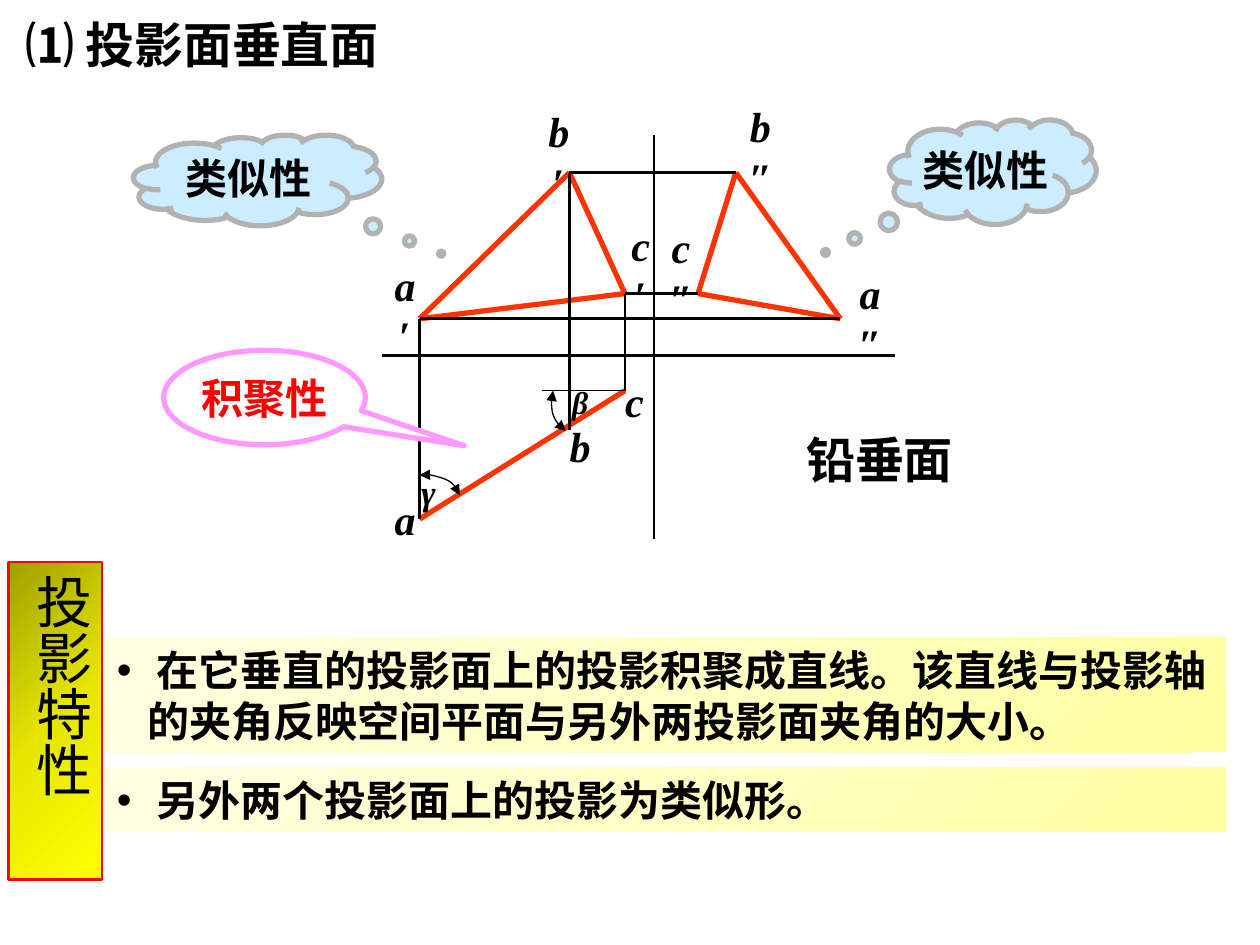
from copy import deepcopy
from lxml.etree import SubElement as Sub
from pptx import Presentation
from pptx.dml.color import RGBColor as RGB
from pptx.enum.shapes import MSO_CONNECTOR as Conn, MSO_SHAPE as Kind
from pptx.enum.text import MSO_ANCHOR as Anchor, MSO_AUTO_SIZE as Auto, PP_ALIGN as Align
from pptx.oxml.ns import qn
from pptx.util import Inches, Pt

COLS, ROWS = 100, 75
SERIF, SANS = "Times New Roman", "Noto Sans CJK SC"
BLACK, RED, EDGE = "000000", "FF0000", "FF3300"


def hue(code):
    return RGB.from_string(code)


def curve(start, *parts):
    pts = [start]
    for part in parts:
        knots = (pts[-1], *part)
        for step in range(1, 7):
            t = step / 6
            mix = ((1 - t) ** 3, 3 * t * (1 - t) ** 2, 3 * t * t * (1 - t), t ** 3)
            pts.append(tuple(sum(m * k[i] for m, k in zip(mix, knots)) for i in (0, 1)))
    return pts


class Board:
    def __init__(self, deck):
        self.wide, self.high = deck.slide_width, deck.slide_height
        self.slide = deck.slides.add_slide(deck.slide_layouts[5])
        self.shapes = self.slide.shapes

    def spot(self, x, y):
        return round(self.wide * x / COLS), round(self.high * y / ROWS)

    def area(self, x, y, w, h):
        return *self.spot(x, y), *self.spot(w, h)

    def fit(self, shape, text, size, font=SERIF, color=BLACK, bold=True,
            align=Align.CENTER, anchor=Anchor.MIDDLE, wrap=False):
        frame = shape.text_frame
        frame.text = text
        frame.word_wrap = wrap
        frame.auto_size = Auto.NONE
        frame.vertical_anchor = anchor
        para = frame.paragraphs[0]
        para.alignment = align
        for run in para.runs:
            self.style(run, size, font, color, bold)
        return para

    def style(self, run, size, font, color, bold):
        run.font.size, run.font.name, run.font.bold = Pt(size), font, bold
        run.font.color.rgb = hue(color)
        Sub(run._r.get_or_add_rPr(), qn("a:ea")).set("typeface", SANS)

    def title(self, text, box):
        head = self.shapes.title
        head.left, head.top, head.width, head.height = self.area(*box)
        self.fit(head, text, 28, SANS, align=Align.LEFT, wrap=True)

    def text(self, text, box, size):
        self.fit(self.shapes.add_textbox(*self.area(*box)), text, size)

    def label(self, name, box, mark="", size=24):
        shape = self.shapes.add_textbox(*self.area(*box))
        para = self.fit(shape, name, size, wrap=bool(mark))
        para.runs[0].font.italic = True
        if mark:
            frame = shape.text_frame
            frame.margin_left = frame.margin_right = Inches(0.12)
            run = para.add_run()
            run.text = mark
            self.style(run, size, SERIF, BLACK, True)

    def line(self, start, end, color=BLACK, width=1.5):
        link = self.shapes.add_connector(Conn.STRAIGHT, *self.spot(*start), *self.spot(*end))
        link.line.color.rgb, link.line.width = hue(color), Pt(width)
        Sub(link._element.spPr, qn("a:effectLst"))

    def arc(self, pts):
        first, *rest = [self.spot(*p) for p in pts]
        pen = self.shapes.build_freeform(*first)
        pen.add_line_segments(rest, close=False)
        shape = pen.convert_to_shape()
        shape.shadow.inherit = False
        shape.fill.background()
        shape.line.color.rgb, shape.line.width = hue(BLACK), Pt(0.75)
        stroke = shape._element.spPr.find(qn("a:ln"))
        for end in ("a:headEnd", "a:tailEnd"):
            Sub(stroke, qn(end)).set("type", "triangle")

    def block(self, kind, box):
        shape = self.shapes.add_shape(kind, *self.area(*box))
        shape.shadow.inherit = False
        return shape

    def bubble(self, kind, box, tip, text, fill, rim, color=BLACK):
        shape = self.block(kind, box)
        shape.adjustments[0], shape.adjustments[1] = tip
        shape.fill.solid()
        shape.fill.fore_color.rgb = hue(fill)
        shape.line.color.rgb, shape.line.width = hue(rim), Pt(3)
        self.fit(shape, text, 24, color=color)

    def panel(self, box, tones, angle):
        shape = self.block(Kind.RECTANGLE, box)
        shape.line.fill.background()
        shape.fill.gradient()
        shape.fill.gradient_angle = 360 - angle
        stops = shape._element.spPr.find(".//" + qn("a:gsLst"))
        stops.insert(1, deepcopy(stops[0]))
        for i, (stop, tone) in enumerate(zip(shape.fill.gradient_stops, tones)):
            stop.position, stop.color.rgb = i / 2, hue(tone)
        return shape

    def banner(self, text, box):
        shape = self.panel(box, ("A0A000", "E6E600", "FFFF00"), 45)
        shape.line.color.rgb, shape.line.width = hue(RED), Pt(1.5)
        self.fit(shape, text, 32, SANS, bold=False, align=Align.LEFT,
                 anchor=Anchor.TOP, wrap=True)
        shape._element.txBody.find(qn("a:bodyPr")).set("vert", "eaVert")

    def point(self, text, box):
        shape = self.panel(box, ("FFFFA0", "FFFFC5", "FFFFE3"), 225)
        para = self.fit(shape, text, 24, SANS, align=Align.LEFT, wrap=True)
        para.line_spacing = Pt(29)
        props = para._p.get_or_add_pPr()
        props.set("marL", str(Inches(0.24)))
        props.set("indent", str(-Inches(0.24)))
        Sub(props, qn("a:buFont")).set("typeface", "Arial")
        Sub(props, qn("a:buChar")).set("char", "•")


def main():
    deck = Presentation()
    deck.slide_width, deck.slide_height = Inches(10), Inches(7.5)
    board = Board(deck)
    board.title("⑴ 投影面垂直面", (1, 0.6, 41.1, 5.7))

    front = a1, b1, c1 = (33.3, 25.3), (45.2, 13.7), (49.6, 23.3)
    side = a2, b2, c2 = (66.7, 25.3), (58.4, 13.7), (55.4, 23.3)
    a, b, c = (33.3, 41.2), (45.2, 34.1), (49.6, 31)

    board.line((30.3, 28.2), (71, 28.2))
    board.line((51.9, 10.7), (51.9, 42.8))
    for view in (front, side):
        for i in range(3):
            board.line(view[i - 1], view[i], EDGE, 3)
    board.line(a, c, EDGE, 3)
    for start, end in ((a1, a), (b1, b), (c1, c), (a1, a2), (b1, b2), (c1, c2)):
        board.line(start, end)

    for name, mark, x, y, w in (
            ("a", "", 30.3, 38.7, 3.7), ("b", "", 44.2, 32.9, 3.7), ("c", "", 48.6, 29.3, 3.5),
            ("a", "′", 29.9, 22.1, 4.5), ("b", "′", 42.1, 9.9, 4.5), ("c", "′", 48.7, 18.9, 4.3),
            ("a", "″", 66.5, 22.7, 5.1), ("b", "″", 57.8, 9.5, 5.1), ("c", "″", 51.6, 19.1, 4.9)):
        board.label(name, (x, y, w, 5), mark)

    for box, tip in (((10.6, 10.7, 19.7, 7.2), (0.74, 0.81)),
                     ((70.6, 9.5, 16.4, 8.3), (-0.81, 0.77))):
        board.bubble(Kind.CLOUD_CALLOUT, box, tip, "类似性", "CCECFF", "B2B2B2")
    board.bubble(Kind.OVAL_CALLOUT, (13, 27.8, 16, 7.5), (0.99, 0.51),
                 "积聚性", "FFFFFF", "FF99FF", RED)
    board.text("铅垂面", (61.4, 33.1, 16.8, 6.7), 28)

    board.label("γ", (32.4, 36.8, 3.2, 4.4), size=20)
    board.label("β", (44.4, 29.9, 3.3, 4), size=18)
    board.line(c, (43, 31), width=0.75)
    board.arc(curve((43.9, 31), ((43.9, 31.2), (43.7, 31.9), (43.8, 32.3)),
                    ((43.8, 32.8), (44, 33.2), (44.2, 33.5)),
                    ((44.4, 33.8), (44.8, 34.1), (44.9, 34.2))))
    board.arc(curve((33.3, 37.7), ((33.5, 37.6), (33.8, 37.6), (34.2, 37.7)),
                    ((34.6, 37.8), (35.5, 38), (35.8, 38.3)),
                    ((36.2, 38.6), (36.3, 39), (36.5, 39.3))))

    board.banner("投影特性", (0.7, 44.6, 7.4, 25.2))
    board.point(" 在它垂直的投影面上的投影积聚成直线。该直线与投影轴的夹角反映空间平面与另外两投影面夹角的大小。",
                (8.3, 50.6, 89, 9.1))
    board.point(" 另外两个投影面上的投影为类似形。", (8.3, 60.9, 89, 5.1))
    deck.save("out.pptx")


if __name__ == "__main__":
    main()
